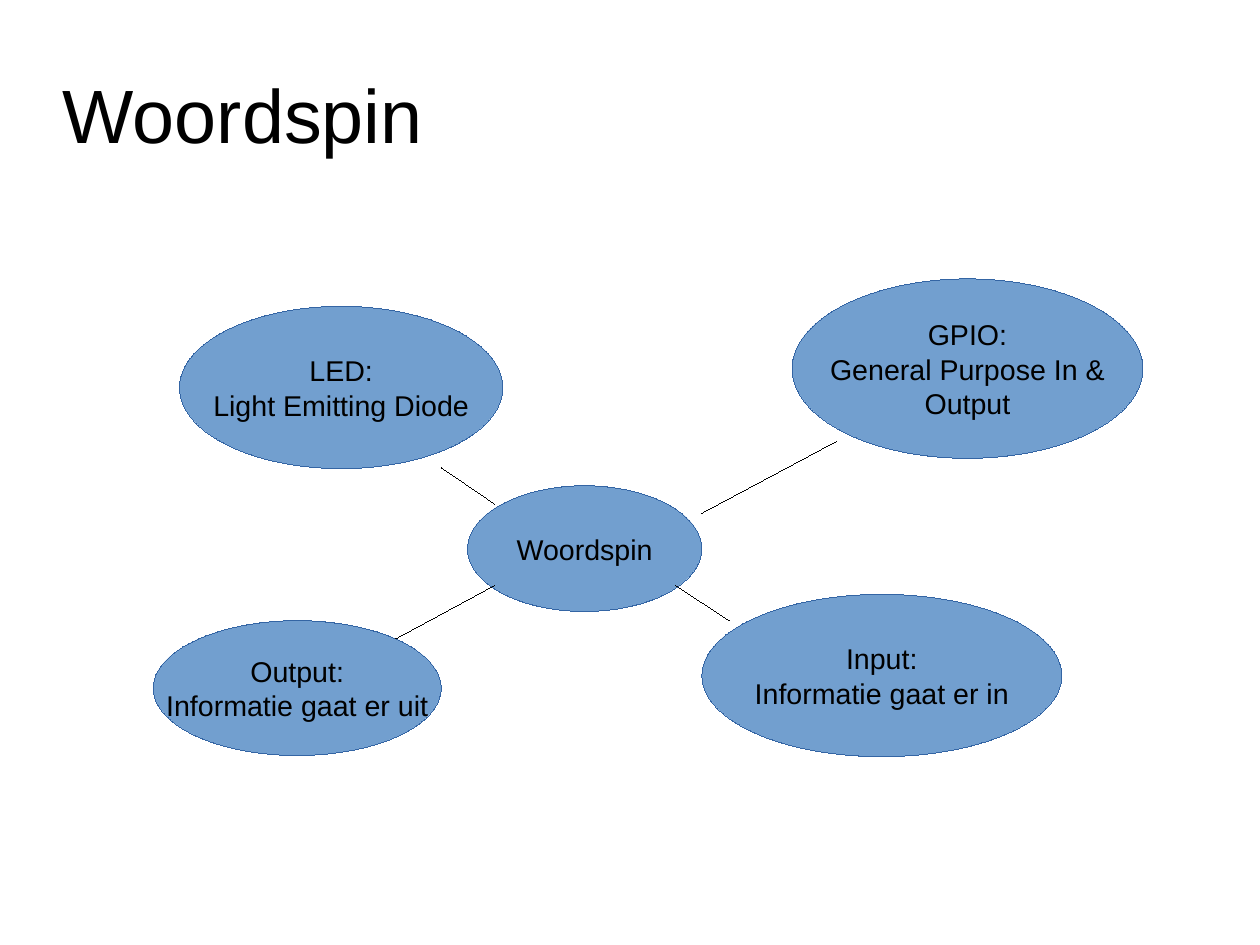
from dataclasses import dataclass

from lxml.etree import SubElement
from pptx import Presentation
from pptx.dml.color import RGBColor
from pptx.enum.shapes import MSO_CONNECTOR, MSO_SHAPE
from pptx.enum.text import MSO_ANCHOR, PP_ALIGN
from pptx.oxml.ns import qn
from pptx.util import Inches, Pt


@dataclass(frozen=True)
class Theme:
    font: str = "Arial"
    ink: RGBColor = RGBColor(0x00, 0x00, 0x00)
    fill: RGBColor = RGBColor(0x72, 0x9F, 0xCF)
    edge: RGBColor = RGBColor(0x34, 0x65, 0xA4)
    head: float = 47.6
    body: float = 18


THEME = Theme()

BUBBLES = [
    ("GPIO:\nGeneral Purpose In &\nOutput", 6.93, 2.44, 3.07, 1.57),
    ("Input:\nInformatie gaat er in", 6.14, 5.2, 3.15, 1.42),
    ("Output:\nInformatie gaat er uit", 1.34, 5.43, 2.52, 1.18),
    ("LED:\nLight Emitting Diode", 1.57, 2.68, 2.83, 1.42),
    ("Woordspin", 4.09, 4.25, 2.05, 1.1),
]

LEGS = [
    (6.14, 4.49, 7.32, 3.86),
    (4.33, 4.41, 3.86, 4.09),
    (4.33, 5.12, 3.46, 5.59),
    (5.91, 5.12, 6.38, 5.43),
]


def write(frame, text, size, align):
    frame.text = text
    frame.vertical_anchor = MSO_ANCHOR.MIDDLE
    for line in frame.paragraphs:
        line.alignment = align
        for run in line.runs:
            run.font.name = THEME.font
            run.font.size = Pt(size)
            run.font.color.rgb = THEME.ink


def hairline(shape, color):
    shape.line.color.rgb = color
    shape._element.spPr.find(qn("a:ln")).set("w", "0")


def add_title(slide, text, *area):
    frame = slide.shapes.add_textbox(*map(Inches, area)).text_frame
    frame.word_wrap = True
    frame.margin_left = frame.margin_right = 0
    frame.margin_top = frame.margin_bottom = 0
    write(frame, text, THEME.head, PP_ALIGN.LEFT)


def add_bubble(slide, text, *area):
    shape = slide.shapes.add_shape(MSO_SHAPE.OVAL, *map(Inches, area))
    shape.shadow.inherit = False
    shape.fill.solid()
    shape.fill.fore_color.rgb = THEME.fill
    hairline(shape, THEME.edge)
    shape.text_frame.word_wrap = False
    write(shape.text_frame, text, THEME.body, PP_ALIGN.CENTER)


def add_leg(slide, *ends):
    leg = slide.shapes.add_connector(MSO_CONNECTOR.STRAIGHT, *map(Inches, ends))
    hairline(leg, THEME.ink)
    SubElement(leg._element.spPr, qn("a:effectLst"))


def main():
    deck = Presentation()
    deck.slide_width = Inches(28 / 2.54)
    deck.slide_height = Inches(21 / 2.54)
    slide = deck.slides.add_slide(deck.slide_layouts[6])
    add_title(slide, "Woordspin", 0.55, 0.31, 7.68, 1.36)
    for bubble in BUBBLES:
        add_bubble(slide, *bubble)
    for leg in LEGS:
        add_leg(slide, *leg)
    deck.save("out.pptx")


if __name__ == "__main__":
    main()
